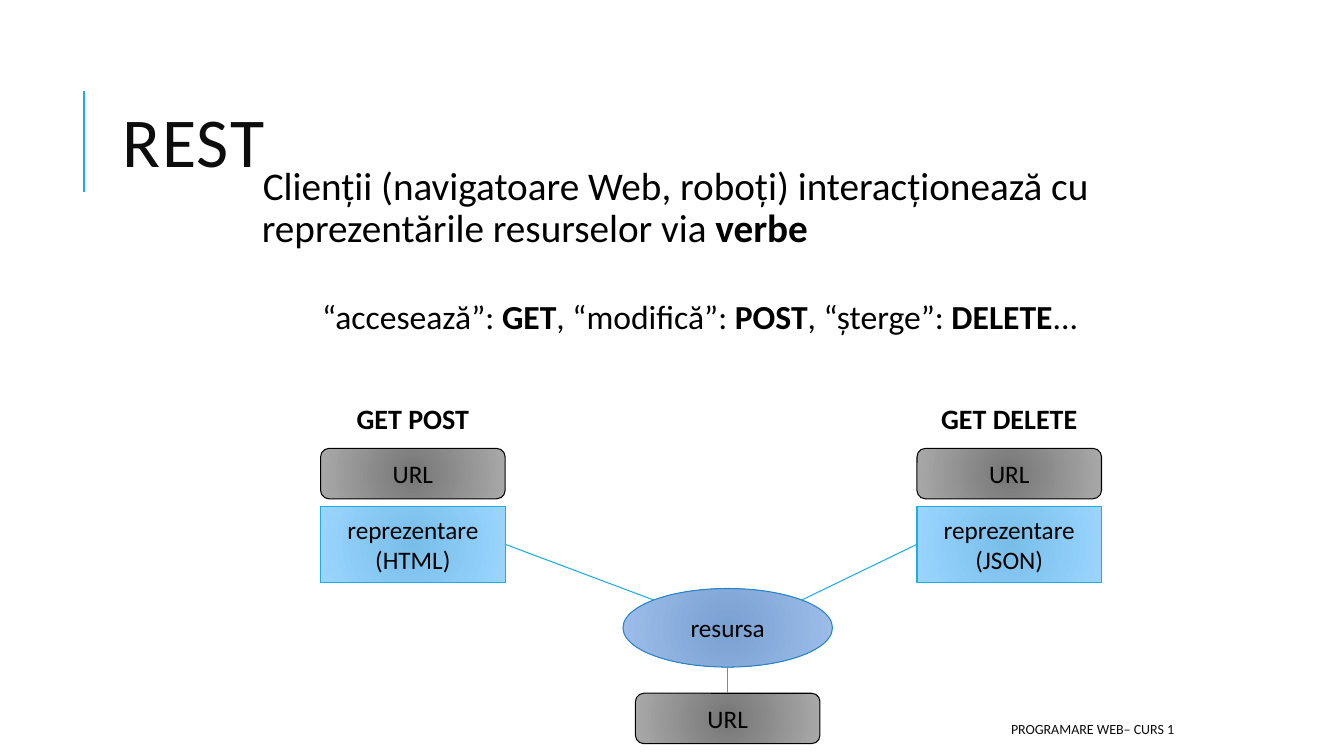
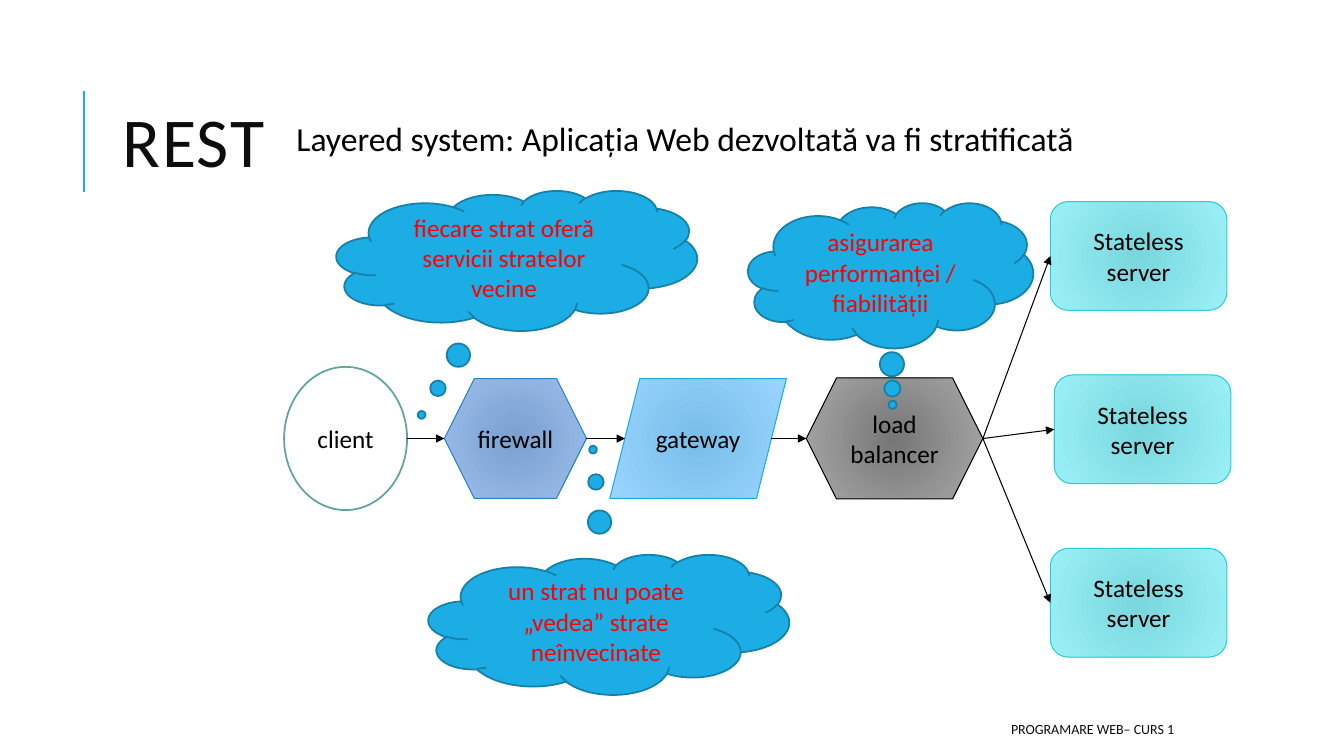
from lxml import etree
from pptx import Presentation
from pptx.dml.color import RGBColor
from pptx.enum.shapes import MSO_CONNECTOR, MSO_SHAPE
from pptx.enum.text import MSO_ANCHOR, MSO_AUTO_SIZE, PP_ALIGN
from pptx.oxml.ns import qn
from pptx.util import Cm, Pt

STRAIGHT = MSO_CONNECTOR.STRAIGHT
ELLIPSE = MSO_SHAPE.OVAL
RECTANGLE = MSO_SHAPE.RECTANGLE
ROUNDED = MSO_SHAPE.ROUNDED_RECTANGLE
HEXAGON = MSO_SHAPE.HEXAGON
PARALLELOGRAM = MSO_SHAPE.PARALLELOGRAM
CLOUD = MSO_SHAPE.CLOUD_CALLOUT
LEFT, CENTER, RIGHT = PP_ALIGN.LEFT, PP_ALIGN.CENTER, PP_ALIGN.RIGHT
TOP, MIDDLE = MSO_ANCHOR.TOP, MSO_ANCHOR.MIDDLE
NO_AUTOFIT = MSO_AUTO_SIZE.NONE

FONT = "Calibri"
COLORS = {
    "ink": "000000",
    "title": "0D0D0D",
    "accent": "1CADE4",
    "cloud_line": "1580A9",
    "cloud_text": "FF0000",
}
STYLES = {
    "client": (["FFFFFF"], "62A39F", 1.25),
    "blue": (["79A1D1", "9EBEEB"], "2683C6", 0.75),
    "gray": (["767676", "A9A9A9"], "000000", 0.75),
    "sky": (["78BEE9", "9AD5FF"], "1CADE4", 0.75),
    "teal": (["79D7DE", "9CF0F7"], "27CED7", 0.75),
    "cloud": ([COLORS["accent"]], COLORS["cloud_line"], 1.25),
}


def rgb(value):
    return RGBColor.from_string(value)


def place(target, box):
    target.left, target.top, target.width, target.height = [Cm(v) for v in box]


def write(frame, parts, size, color=COLORS["ink"], align=LEFT, anchor=TOP):
    frame.word_wrap = True
    frame.auto_size = NO_AUTOFIT
    frame.vertical_anchor = anchor
    paragraph = frame.paragraphs[0]
    paragraph.alignment = align
    for index, part in enumerate(parts):
        run = paragraph.add_run()
        run.text = part
        run.font.name = FONT
        run.font.size = Pt(size)
        run.font.bold = index % 2 == 1
        run.font.color.rgb = rgb(color)
    return paragraph


def add_label(slide, box, parts, size, **formatting):
    label = slide.shapes.add_textbox(*[Cm(v) for v in box])
    write(label.text_frame, parts, size, **formatting)


def add_node(slide, geometry, box, text, style, color=COLORS["ink"]):
    fills, outline, weight = STYLES[style]
    node = slide.shapes.add_shape(geometry, *[Cm(v) for v in box])
    node.shadow.inherit = False
    if len(fills) == 1:
        node.fill.solid()
        node.fill.fore_color.rgb = rgb(fills[0])
    else:
        node.fill.gradient()
        for stop, position, shade in zip(node.fill.gradient_stops, (0, 1), fills):
            stop.position = position
            stop.color.rgb = rgb(shade)
        gradient = node._element.spPr.find(qn("a:gradFill"))
        gradient.remove(gradient.find(qn("a:lin")))
        circle = etree.SubElement(gradient, qn("a:path"), {"path": "circle"})
        etree.SubElement(circle, qn("a:fillToRect"), dict.fromkeys("ltrb", "100000"))
    node.line.color.rgb = rgb(outline)
    node.line.width = Pt(weight)
    write(node.text_frame, [text], 18, color, CENTER, MIDDLE)
    return node


def add_line(slide, start, end, color=COLORS["accent"], weight=0.75, arrow=False):
    line = slide.shapes.add_connector(STRAIGHT, *[Cm(v) for v in (*start, *end)])
    line.line.color.rgb = rgb(color)
    line.line.width = Pt(weight)
    properties = line._element.spPr
    if arrow:
        etree.SubElement(properties.find(qn("a:ln")), qn("a:tailEnd"), {"type": "triangle"})
    etree.SubElement(properties, qn("a:effectLst"))
    return line


def add_body(body, box, parts, size):
    place(body, box)
    frame = body.text_frame
    frame.margin_left = frame.margin_right = Cm(0.13)
    frame.margin_top = frame.margin_bottom = Cm(0.13)
    properties = frame.paragraphs[0]._p.get_or_add_pPr()
    properties.set("marL", str(Cm(0.25)))
    properties.set("indent", str(-Cm(0.25)))
    bullet_color = etree.SubElement(properties, qn("a:buClr"))
    etree.SubElement(bullet_color, qn("a:srgbClr"), {"val": COLORS["accent"]})
    etree.SubElement(properties, qn("a:buChar"), {"char": " "})
    paragraph = write(frame, parts, size)
    paragraph.line_spacing = 0.9
    paragraph.space_before = Pt(0)
    paragraph.space_after = Pt(2)


def add_rest_slide(deck, body_box, body_parts, body_size):
    slide = deck.slides.add_slide(deck.slide_layouts[1])
    add_line(slide, (2.11, 4.83), (2.11, 2.29), weight=1.5)
    title = slide.shapes.title
    place(title, (2.84, 1.64, 27, 4.17))
    heading = write(title.text_frame, ["REST"], 50, COLORS["title"], LEFT, MIDDLE)
    heading.line_spacing = 0.8
    heading.runs[0].font._element.set("spc", "100")
    add_body(slide.placeholders[1], body_box, body_parts, body_size)
    add_label(slide, (13.46, 17.98, 16.38, 0.76), ["PROGRAMARE WEB– CURS 1"], 10,
              color=COLORS["title"], align=RIGHT, anchor=MIDDLE)
    return slide


def add_representation(slide, left, top, verbs, text):
    width = 4.65
    add_label(slide, (left - 0.36, top, width + 0.72, 1.12), ["", verbs], 20, align=CENTER)
    add_node(slide, ROUNDED, (left, top + 1.3, width, 1.27), "URL", "gray")
    return add_node(slide, RECTANGLE, (left, top + 2.76, width, 1.91), text, "sky")


def add_resource(slide, left, top, html, json):
    width, height = 5.28, 1.98
    center, middle = left + width / 2, top + height / 2
    add_node(slide, ELLIPSE, (left, top, width, height), "resursa", "blue")
    url = add_node(slide, ROUNDED, (center - 4.65 / 2, top + 2.64, 4.65, 1.27), "URL", "gray")
    diagonal = 0.5 ** 0.5 / 2
    rim = middle - height * diagonal
    links = [
        (html, 3, (center - width * diagonal, rim)),
        (json, 1, (center + width * diagonal, rim)),
        (url, 0, (center, top + height)),
    ]
    for box, side, end in links:
        add_line(slide, end, end).begin_connect(box, side)


def add_pipeline(slide, left, middle):
    stages = [
        ("client", ELLIPSE, "client", 0, 3.1, 3.61, 0),
        ("firewall", HEXAGON, "blue", 4.04, 3.58, 3.02, 0),
        ("gateway", PARALLELOGRAM, "sky", 8.21, 4.45, 3.02, 0.38),
        ("load balancer", HEXAGON, "gray", 13.16, 4.45, 3.05, 0),
    ]
    exit_x = None
    for text, geometry, style, offset, width, height, slant in stages:
        x = left + offset
        add_node(slide, geometry, (x, middle - height / 2, width, height), text, style)
        if exit_x is not None:
            add_line(slide, (exit_x, middle), (x + slant, middle), COLORS["ink"], arrow=True)
        exit_x = x + width - slant
    return exit_x, middle


def add_servers(slide, left, top, source):
    for row, shift in enumerate((0, 0.1, 0)):
        box = (left + shift, top + row * 4.37, 4.45, 2.74)
        server = add_node(slide, ROUNDED, box, "Stateless server", "teal")
        add_line(slide, source, source, COLORS["ink"], arrow=True).end_connect(server, 1)


def add_thought(slide, box, text, pointer):
    thought = add_node(slide, CLOUD, box, text, "cloud", COLORS["cloud_text"])
    thought.adjustments[0], thought.adjustments[1] = pointer


def build_verbs_slide(deck):
    slide = add_rest_slide(deck, (6.22, 4.06, 23.88, 14.6), [
        "Clienții (navigatoare Web, roboți) interacționează cu reprezentările resurselor via ",
        "verbe",
    ], 28)
    add_label(slide, (7.87, 7.32, 22.17, 1.3), [
        "“accesează”: ", "GET", ", “modifică”: ", "POST", ", “șterge”: ", "DELETE", "...",
    ], 24)
    html = add_representation(slide, 8.08, 10, "GET POST", "reprezentare (HTML)")
    json = add_representation(slide, 23.11, 10, "GET DELETE", "reprezentare (JSON)")
    add_resource(slide, 15.7, 14.83, html, json)


def build_layers_slide(deck):
    slide = add_rest_slide(deck, (7.09, 2.95, 23.29, 1.35), [
        "Layered system: Aplicația Web dezvoltată va fi stratificată",
    ], 24)
    balancer_exit = add_pipeline(slide, 7.16, 11.05)
    add_servers(slide, 26.47, 5.08, balancer_exit)
    thoughts = [
        ((8.48, 4.8, 9.09, 3.53), "fiecare strat oferă servicii stratelor vecine",
         (-0.264, 1.102)),
        ((10.8, 13.97, 9.09, 3.53), "un strat nu poate „vedea” strate neînvecinate",
         (-0.044, -1.248)),
        ((18.85, 5.11, 7.19, 3.66), "asigurarea performanței / fiabilității",
         (0.007, 0.891)),
    ]
    for thought in thoughts:
        add_thought(slide, *thought)


def main():
    deck = Presentation()
    deck.slide_width, deck.slide_height = Cm(33.87), Cm(19.05)
    build_verbs_slide(deck)
    build_layers_slide(deck)
    deck.save("out.pptx")


if __name__ == "__main__":
    main()
